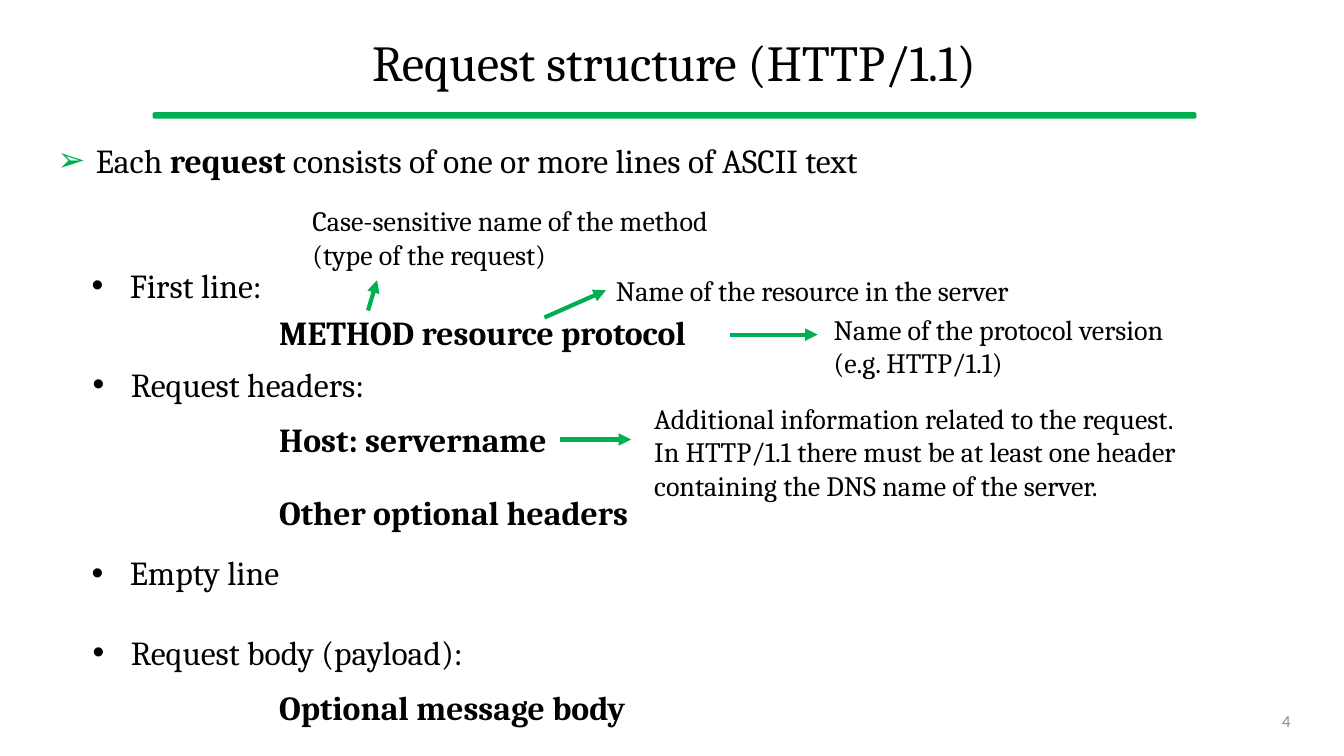
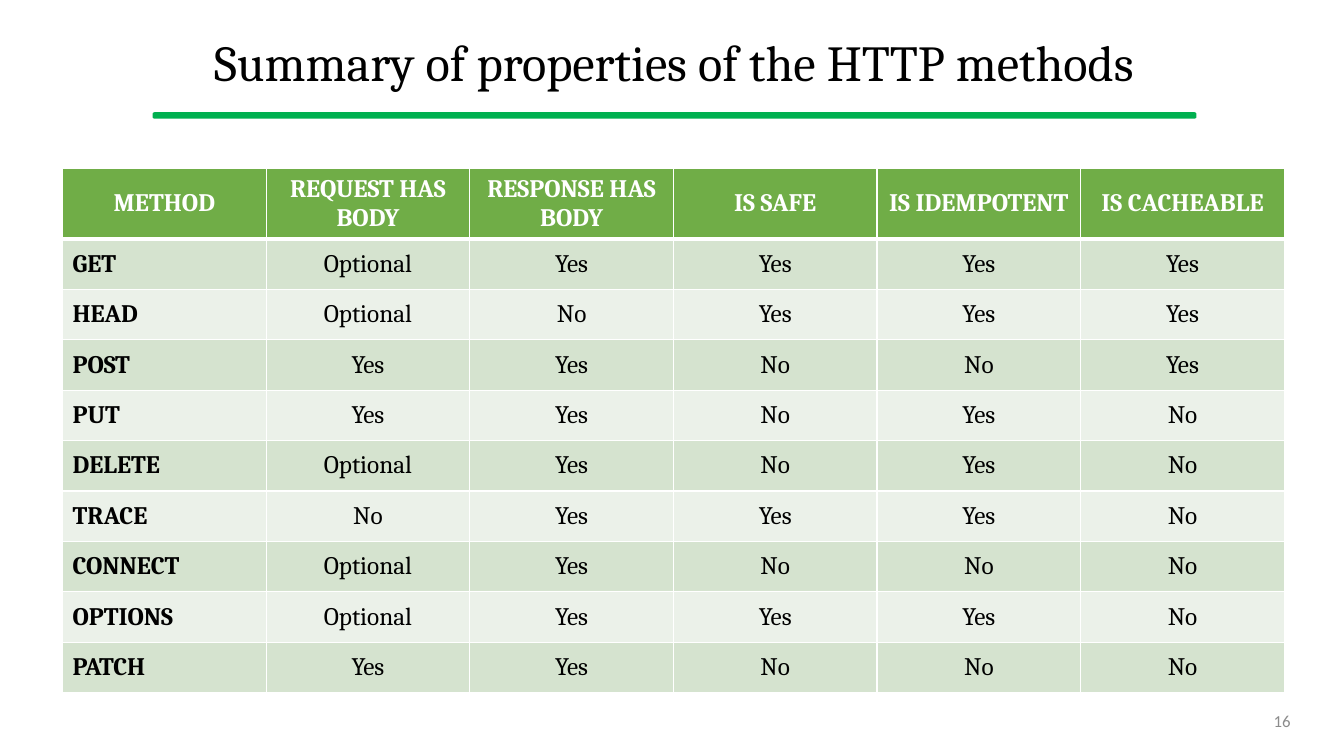
from dataclasses import dataclass

from lxml import etree
from pptx import Presentation
from pptx.dml.color import RGBColor
from pptx.enum.shapes import MSO_CONNECTOR, MSO_SHAPE
from pptx.enum.text import MSO_ANCHOR as Anchor, MSO_AUTO_SIZE, PP_ALIGN as Align
from pptx.oxml.ns import qn
from pptx.util import Inches, Pt


@dataclass(frozen=True)
class Theme:
    font: str = "Cambria"
    number_font: str = "Calibri"
    ink: str = "000000"
    white: str = "FFFFFF"
    accent: str = "00B050"
    header: str = "70AD47"
    bands: tuple = ("D5E3CF", "EBF1E9")
    muted: str = "8C8C8C"
    title_size: int = 36
    body_size: int = 24
    note_size: int = 20
    table_size: int = 18
    number_size: int = 12


THEME = Theme()
TITLE_AND_CONTENT, TITLE_ONLY = 1, 5
RIGHT_SIDE, LEFT_SIDE = 3, 1


def rgb(color):
    return RGBColor.from_string(color)


def place(shape, left, top, width, height):
    shape.left, shape.top = Inches(left), Inches(top)
    shape.width, shape.height = Inches(width), Inches(height)


def add_run(paragraph, text, size, bold=False, color=THEME.ink, font=THEME.font):
    run = paragraph.add_run()
    run.text = text
    run.font.name = font
    run.font.size = Pt(size)
    run.font.bold = bold
    run.font.color.rgb = rgb(color)


def add_bullet(paragraph, character, color):
    properties = paragraph._p.get_or_add_pPr()
    indent = Inches(0.38)
    properties.set("marL", str(indent))
    properties.set("indent", str(-indent))
    bullet_color = etree.SubElement(properties, qn("a:buClr"))
    etree.SubElement(bullet_color, qn("a:srgbClr"), val=color)
    etree.SubElement(properties, qn("a:buFont"), typeface="Arial")
    etree.SubElement(properties, qn("a:buChar"), char=character)


def set_borders(cell, bottom):
    """Draw white cell borders, one point wide except at the bottom."""
    properties = cell._tc.get_or_add_tcPr()
    widths = {"a:lnL": 1, "a:lnR": 1, "a:lnT": 1, "a:lnB": bottom}
    for position, (tag, width) in enumerate(widths.items()):
        line = etree.Element(qn(tag), w=str(Pt(width)))
        fill = etree.SubElement(line, qn("a:solidFill"))
        etree.SubElement(fill, qn("a:srgbClr"), val=THEME.white)
        properties.insert(position, line)


class Deck:
    def __init__(self):
        self.presentation = Presentation()
        self.presentation.slide_width = Inches(13.33)
        self.presentation.slide_height = Inches(7.5)
        self.slide = None

    def start_slide(self, layout, title, number):
        layouts = self.presentation.slide_layouts
        self.slide = self.presentation.slides.add_slide(layouts[layout])
        self.title_rule()
        frame = self.placeholder(0, 0.18, 0.94, Anchor.MIDDLE)
        paragraph = frame.paragraphs[0]
        paragraph.alignment = Align.CENTER
        paragraph.line_spacing = 0.9
        add_run(paragraph, title, THEME.title_size)
        self.page_number(number)

    def placeholder(self, index, top, height, anchor):
        shape = self.slide.placeholders[index]
        place(shape, 0.47, top, 12.43, height)
        frame = shape.text_frame
        frame.auto_size = MSO_AUTO_SIZE.NONE
        frame.vertical_anchor = anchor
        return frame

    def title_rule(self):
        rule = self.slide.shapes.add_shape(
            MSO_SHAPE.ROUNDED_RECTANGLE,
            Inches(1.52), Inches(1.12), Inches(10.34), Inches(0.05))
        rule.adjustments[0] = 0.26
        rule.shadow.inherit = False
        rule.fill.solid()
        rule.fill.fore_color.rgb = rgb(THEME.accent)
        rule.line.color.rgb = rgb(THEME.accent)
        rule.line.width = Pt(1)

    def page_number(self, number):
        box = self.text_box(9.42, 6.95, 3.48, 0.4)
        box.text_frame.vertical_anchor = Anchor.MIDDLE
        paragraph = box.text_frame.paragraphs[0]
        paragraph.alignment = Align.RIGHT
        add_run(paragraph, str(number), THEME.number_size,
                color=THEME.muted, font=THEME.number_font)

    def lead(self, runs):
        """Fill the body placeholder with one arrow-bulleted statement."""
        frame = self.placeholder(1, 1.38, 0.69, Anchor.TOP)
        paragraph = frame.paragraphs[0]
        add_bullet(paragraph, "➢", THEME.accent)
        paragraph.line_spacing = 0.9
        paragraph.space_before = Pt(0)
        for text, bold in runs:
            add_run(paragraph, text, THEME.body_size, bold)

    def text_box(self, left, top, width, height):
        box = self.slide.shapes.add_textbox(
            Inches(left), Inches(top), Inches(width), Inches(height))
        box.text_frame.word_wrap = True
        return box

    def bullet(self, left, top, width, text):
        box = self.text_box(left, top, width, 0.5)
        paragraph = box.text_frame.paragraphs[0]
        add_bullet(paragraph, "•", THEME.ink)
        add_run(paragraph, text, THEME.body_size)

    def message_part(self, top, width, text):
        box = self.text_box(2.67, top, width, 0.5)
        add_run(box.text_frame.paragraphs[0], text, THEME.body_size, bold=True)
        return box

    def note(self, left, top, width, height, *lines):
        box = self.text_box(left, top, width, height)
        frame = box.text_frame
        for index, line in enumerate(lines):
            paragraph = frame.add_paragraph() if index else frame.paragraphs[0]
            add_run(paragraph, line, THEME.note_size)
        return box

    def arrow(self, start, end, source=None, target=None):
        connector = self.slide.shapes.add_connector(
            MSO_CONNECTOR.STRAIGHT, *map(Inches, start + end))
        if source:
            connector.begin_connect(source, RIGHT_SIDE)
        if target:
            connector.end_connect(target, LEFT_SIDE)
        connector.line.color.rgb = rgb(THEME.accent)
        connector.line.width = Pt(3)
        etree.SubElement(connector.line._get_or_add_ln(), qn("a:tailEnd"), type="triangle")
        etree.SubElement(connector._element.spPr, qn("a:effectLst"))

    def table(self, left, top, header, rows):
        column_width, header_height, row_height = 2.02, 0.67, 0.5
        table = self.slide.shapes.add_table(
            len(rows) + 1, len(header), Inches(left), Inches(top),
            Inches(column_width * len(header)),
            Inches(header_height + row_height * len(rows))).table
        for column in table.columns:
            column.width = Inches(column_width)
        for row_index, values in enumerate([header, *rows]):
            is_header = row_index == 0
            table.rows[row_index].height = Inches(header_height if is_header else row_height)
            fill = THEME.header if is_header else THEME.bands[(row_index - 1) % 2]
            for column_index, value in enumerate(values):
                is_label = not is_header and column_index == 0
                cell = table.cell(row_index, column_index)
                cell.vertical_anchor = Anchor.MIDDLE
                cell.fill.solid()
                cell.fill.fore_color.rgb = rgb(fill)
                set_borders(cell, bottom=3 if is_header else 1)
                paragraph = cell.text_frame.paragraphs[0]
                paragraph.alignment = Align.LEFT if is_label else Align.CENTER
                add_run(paragraph, value, THEME.table_size,
                        bold=is_header or is_label,
                        color=THEME.white if is_header else THEME.ink)


def request_structure(deck):
    deck.start_slide(TITLE_AND_CONTENT, "Request structure (HTTP/1.1)", 4)
    deck.lead([("Each ", False), ("request", True),
               (" consists of one or more lines of ASCII text", False)])

    deck.bullet(0.81, 2.58, 1.97, "First line:")
    deck.bullet(0.82, 3.56, 3.11, "Request headers:")
    deck.bullet(0.81, 5.43, 2.27, "Empty line")
    deck.bullet(0.82, 6.22, 4.23, "Request body (payload):")

    deck.message_part(3.05, 4.62, "METHOD resource protocol")
    host = deck.message_part(4.11, 2.88, "Host: servername")
    deck.message_part(4.83, 3.84, "Other optional headers")
    deck.message_part(6.77, 3.94, "Optional message body")

    deck.note(3, 1.97, 4.57, 0.77,
              "Case-sensitive name of the method (type of the request)")
    resource = deck.note(6.01, 2.66, 4.99, 0.44, "Name of the resource in the server")
    deck.note(8.17, 3.05, 5.16, 0.77, "Name of the protocol version", "(e.g. HTTP/1.1)")
    deck.note(6.39, 3.93, 6.42, 1.11,
              "Additional information related to the request.",
              "In HTTP/1.1 there must be at least one header "
              "containing the DNS name of the server.")

    deck.arrow((3.65, 3.08), (3.74, 2.78))
    deck.arrow((5.4, 3.15), (6.04, 2.88), target=resource)
    deck.arrow((7.24, 3.32), (8.11, 3.32))
    deck.arrow((5.54, 4.36), (6.26, 4.36), source=host)


def method_summary(deck):
    deck.start_slide(TITLE_ONLY, "Summary of properties of the HTTP methods", 16)
    header = ["METHOD", "REQUEST HAS BODY", "RESPONSE HAS BODY",
              "IS SAFE", "IS IDEMPOTENT", "IS CACHEABLE"]
    rows = [
        ["GET", "Optional", "Yes", "Yes", "Yes", "Yes"],
        ["HEAD", "Optional", "No", "Yes", "Yes", "Yes"],
        ["POST", "Yes", "Yes", "No", "No", "Yes"],
        ["PUT", "Yes", "Yes", "No", "Yes", "No"],
        ["DELETE", "Optional", "Yes", "No", "Yes", "No"],
        ["TRACE", "No", "Yes", "Yes", "Yes", "No"],
        ["CONNECT", "Optional", "Yes", "No", "No", "No"],
        ["OPTIONS", "Optional", "Yes", "Yes", "Yes", "No"],
        ["PATCH", "Yes", "Yes", "No", "No", "No"],
    ]
    deck.table(0.62, 1.67, header, rows)


def main():
    deck = Deck()
    request_structure(deck)
    method_summary(deck)
    deck.presentation.save("out.pptx")


if __name__ == "__main__":
    main()
